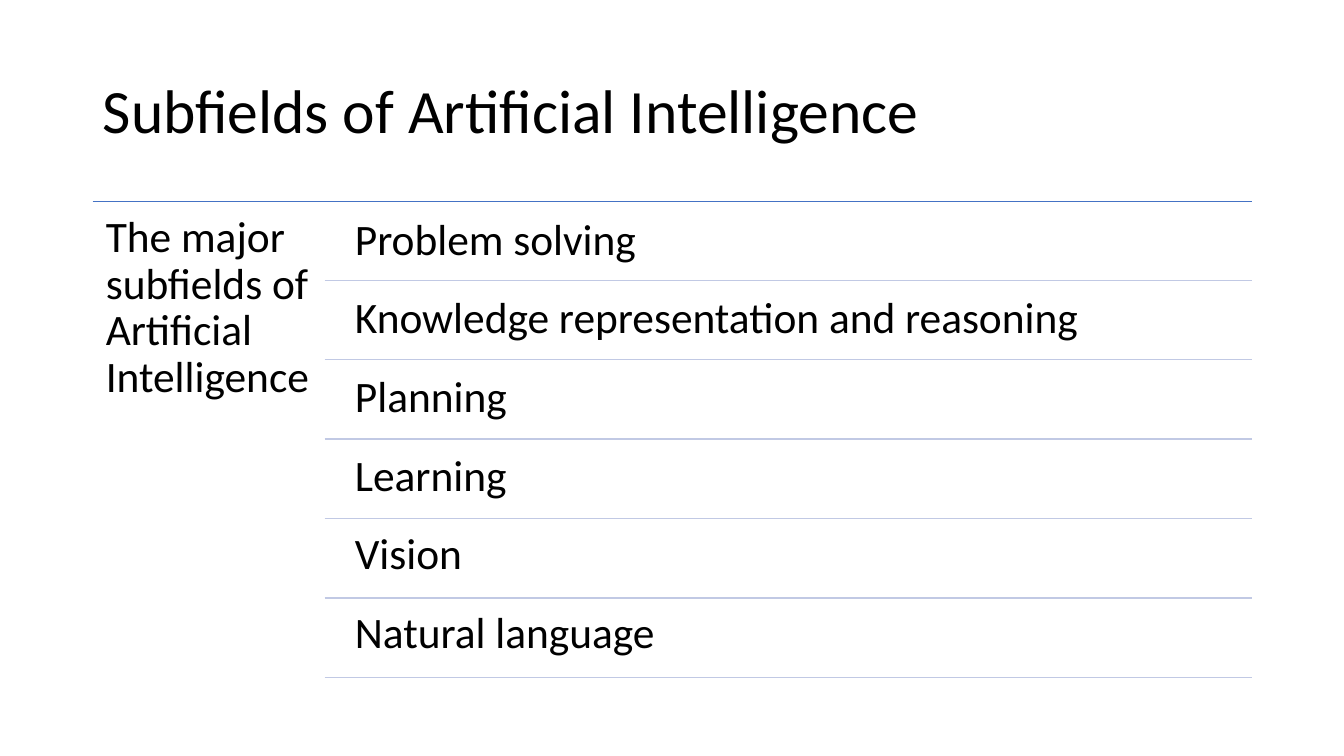
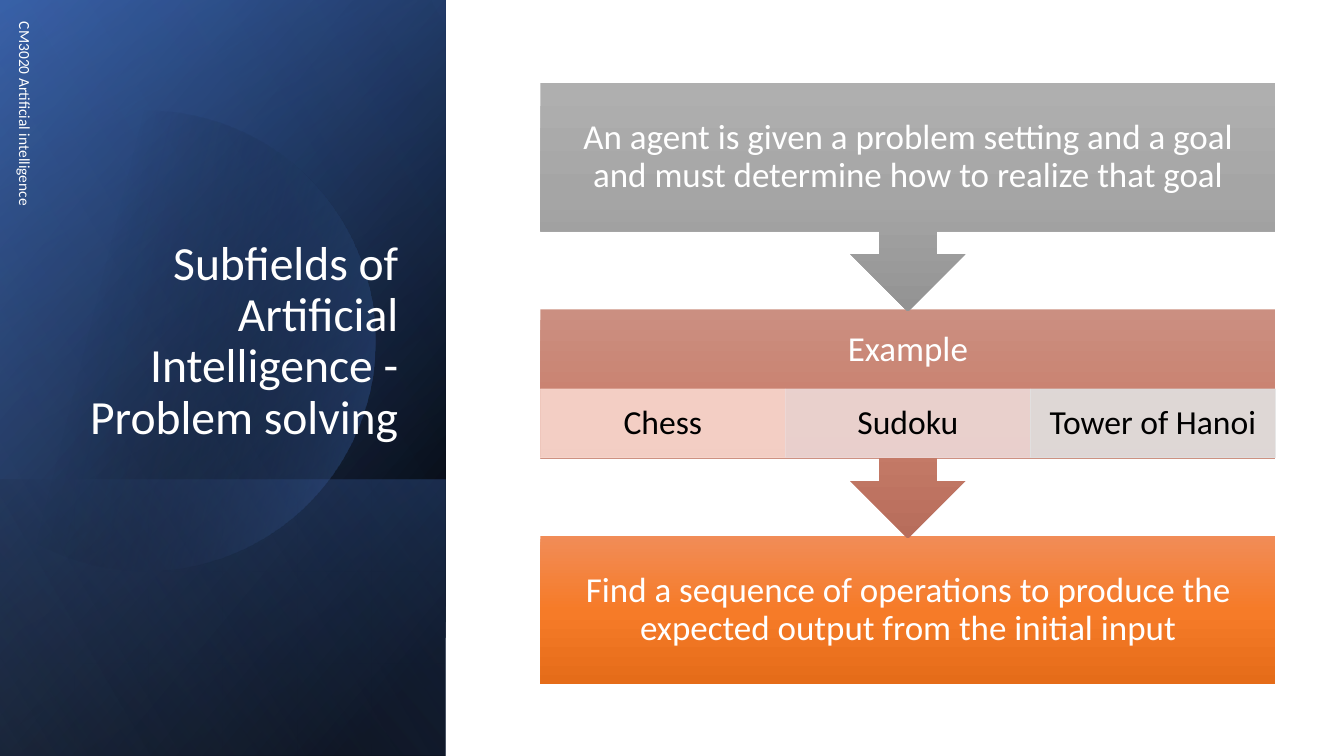
"""Build two slides on the subfields of artificial intelligence."""
import math

from lxml import etree
from pptx import Presentation
from pptx.dml.color import RGBColor
from pptx.enum.shapes import MSO_CONNECTOR, MSO_SHAPE
from pptx.enum.text import MSO_ANCHOR, MSO_AUTO_SIZE, PP_ALIGN
from pptx.oxml.ns import qn
from pptx.util import Emu, Pt

RECT, CALLOUT = MSO_SHAPE.RECTANGLE, MSO_SHAPE.DOWN_ARROW_CALLOUT
STRAIGHT = MSO_CONNECTOR.STRAIGHT
LEFT, CENTER, RIGHT = PP_ALIGN.LEFT, PP_ALIGN.CENTER, PP_ALIGN.RIGHT
TOP, MIDDLE, BOTTOM = MSO_ANCHOR.TOP, MSO_ANCHOR.MIDDLE, MSO_ANCHOR.BOTTOM
FIXED = MSO_AUTO_SIZE.NONE

PX = 9144
FONT = "Calibri"
BLACK, WHITE, BLUE, PALE_BLUE = "000000", "FFFFFF", "4472C4", "C1C9E4"

OVERVIEW_TITLE = "Subfields of Artificial Intelligence"
LEAD = "The major subfields of Artificial Intelligence"
SUBFIELDS = ["Problem solving", "Knowledge representation and reasoning",
             "Planning", "Learning", "Vision", "Natural language"]
RULE_LEFT, RULE_RIGHT, RULE_TOP = 92, 1242, 200
ROW_LEFT, ROW_BOTTOM, ROW_PITCH = 322, 278, 78.8

SOLVING_TITLE = "Subfields of Artificial Intelligence - Problem solving"
COURSE = "CM3020 Artificial intelligence"
PANEL = (0, 0, 442, 750)
PANEL_FOOT = (0, 476, 442, 274)
BACK_LAYERS = [
    (PANEL, 220, [(8, BLACK, 100), (100, "2F5597", 100)]),
    (PANEL, 240, [(0, BLACK, 0), (99, BLUE, 46)]),
    (PANEL_FOOT, 140, [(2, BLUE, 29), (100, BLACK, 30)]),
]
DISC_CENTER, DISC_RADIUS = (144, 338), 228
DISC_STOPS = [(29, BLACK, 0), (100, BLUE, 43)]
FRONT_LAYER = (PANEL, 150, [(0, BLACK, 0), (99, "8FAADC", 11)])

STEPS = [
    ("An agent is given a problem setting and a goal and must determine "
     "how to realize that goal", CALLOUT, 227, 19, ("AFAFAF", "A5A5A5", "939393")),
    ("Example", CALLOUT, 227, 86, ("CB8F81", "C97E6B", "B76D5B")),
    ("Find a sequence of operations to produce the expected output from "
     "the initial input", RECT, 147, 19, ("F18C57", "F67B28", "E56C19")),
]
STEP_LEFT, STEP_TOP, STEP_WIDTH, STEP_PITCH = 536, 82, 729, 225
EXAMPLES = [("Chess", "F8D7CE"), ("Sudoku", "EDD9D7"), ("Tower of Hanoi", "E1E1E1")]
EXAMPLE_TOP, EXAMPLE_HEIGHT = 386, 68


def rgb(color):
    return RGBColor.from_string(color)


def box(*lengths):
    return [Emu(round(length * PX)) for length in lengths]


def write(shape, lines, size, color, align=LEFT, anchor=TOP,
          insets=(10, 5, 10, 5), spacing=0.9, after=0):
    frame = shape.text_frame
    frame.text = "\n".join(lines)
    frame.word_wrap = True
    frame.auto_size = FIXED
    frame.vertical_anchor = anchor
    (frame.margin_left, frame.margin_top,
     frame.margin_right, frame.margin_bottom) = box(*insets)
    for paragraph in frame.paragraphs:
        paragraph.alignment = align
        paragraph.line_spacing = spacing
        paragraph.space_before = Pt(0)
        paragraph.space_after = Pt(after)
        for run in paragraph.runs:
            run.font.name = FONT
            run.font.size = Pt(size)
            run.font.color.rgb = rgb(color)


def place(shape, area):
    shape.left, shape.top, shape.width, shape.height = box(*area)


def add_title(slide, text, area, size, color, align, anchor):
    place(slide.shapes.title, area)
    write(slide.shapes.title, [text], size, color, align, anchor)


def set_alpha(color_element, percent):
    etree.SubElement(color_element, qn("a:alpha"), val=str(percent * 1000))


def shade(shape, angle, stops):
    shape.shadow.inherit = False
    shape.line.fill.background()
    shape.fill.gradient()
    gradient = shape._element.spPr.find(qn("a:gradFill"))
    stop_list = gradient.find(qn("a:gsLst"))
    for stop in list(stop_list):
        stop_list.remove(stop)
    for position, color, alpha in stops:
        stop = etree.SubElement(stop_list, qn("a:gs"), pos=str(position * 1000))
        value = etree.SubElement(stop, qn("a:srgbClr"), val=color)
        if alpha < 100:
            set_alpha(value, alpha)
    gradient.find(qn("a:lin")).set("ang", str(angle * 60000))


def add_layer(slide, area, angle, stops):
    shade(slide.shapes.add_shape(RECT, *box(*area)), angle, stops)


def add_rule(slide, left, y, color):
    rule = slide.shapes.add_connector(STRAIGHT, *box(left, y, RULE_RIGHT, y))
    rule.line.color.rgb = rgb(color)
    rule.line.width = Pt(1)
    etree.SubElement(rule._element.spPr, qn("a:effectLst"))


def add_disc(slide):
    center_x, center_y = DISC_CENTER
    reach = math.degrees(math.acos(-center_x / DISC_RADIUS))
    angles = [math.radians(reach * (i / 60 - 1)) for i in range(121)]
    points = [(center_x + DISC_RADIUS * math.cos(a),
               center_y + DISC_RADIUS * math.sin(a)) for a in angles]
    outline = slide.shapes.build_freeform(*box(*points[0]))
    outline.add_line_segments([box(*point) for point in points[1:]])
    shade(outline.convert_to_shape(), 14, DISC_STOPS)


def build_overview(prs):
    slide = prs.slides.add_slide(prs.slide_layouts[1])
    add_title(slide, OVERVIEW_TITLE, (92, 40, 1150, 145), 44, BLACK, LEFT, MIDDLE)
    add_rule(slide, RULE_LEFT, RULE_TOP, BLUE)
    lead = slide.shapes.add_textbox(*box(RULE_LEFT, RULE_TOP, 230, 476))
    write(lead, [LEAD], 31, BLACK, insets=(13,) * 4)
    subfields = slide.placeholders[1]
    place(subfields, (339, 203, 903, 476))
    write(subfields, SUBFIELDS, 31, BLACK, insets=(13,) * 4, after=22.65)
    for paragraph in subfields.text_frame.paragraphs:
        properties = paragraph._p.get_or_add_pPr()
        properties.set("marL", "0")
        properties.set("indent", "0")
        etree.SubElement(properties, qn("a:buNone"))
    for row in range(len(SUBFIELDS)):
        add_rule(slide, ROW_LEFT, ROW_BOTTOM + row * ROW_PITCH, PALE_BLUE)


def build_solving(prs):
    slide = prs.slides.add_slide(prs.slide_layouts[5])
    for layer in BACK_LAYERS:
        add_layer(slide, *layer)
    add_disc(slide)
    add_layer(slide, *FRONT_LAYER)
    title = slide.shapes.title
    slide.shapes._spTree.append(title._element)
    add_title(slide, SOLVING_TITLE, (64, 184, 341, 262), 34, WHITE, RIGHT, BOTTOM)
    course = slide.shapes.add_textbox(*box(-200, 217, 450, 40))
    course.rotation = 90
    write(course, [COURSE], 11, WHITE, anchor=MIDDLE, spacing=1)

    for index, (text, outline, height, foot, colors) in reversed(list(enumerate(STEPS))):
        top = STEP_TOP + index * STEP_PITCH
        step = slide.shapes.add_shape(outline, *box(STEP_LEFT, top, STEP_WIDTH, height))
        shade(step, 90, [(i * 50, color, 100) for i, color in enumerate(colors)])
        write(step, [text], 25, WHITE, CENTER, MIDDLE, (19, 19, 19, foot))

    width = STEP_WIDTH / len(EXAMPLES)
    for index, (text, color) in enumerate(EXAMPLES):
        example = slide.shapes.add_shape(
            RECT, *box(STEP_LEFT + index * width, EXAMPLE_TOP, width, EXAMPLE_HEIGHT))
        example.shadow.inherit = False
        example.fill.solid()
        example.fill.fore_color.rgb = rgb(color)
        example.line.color.rgb = rgb(color)
        example.line.width = Pt(0.5)
        for value in example._element.spPr.iter(qn("a:srgbClr")):
            set_alpha(value, 90)
        write(example, [text], 24, BLACK, CENTER, MIDDLE, (19, 3, 19, 3))


def main():
    prs = Presentation()
    prs.slide_width, prs.slide_height = box(1333, 750)
    build_overview(prs)
    build_solving(prs)
    prs.save("out.pptx")


if __name__ == "__main__":
    main()
